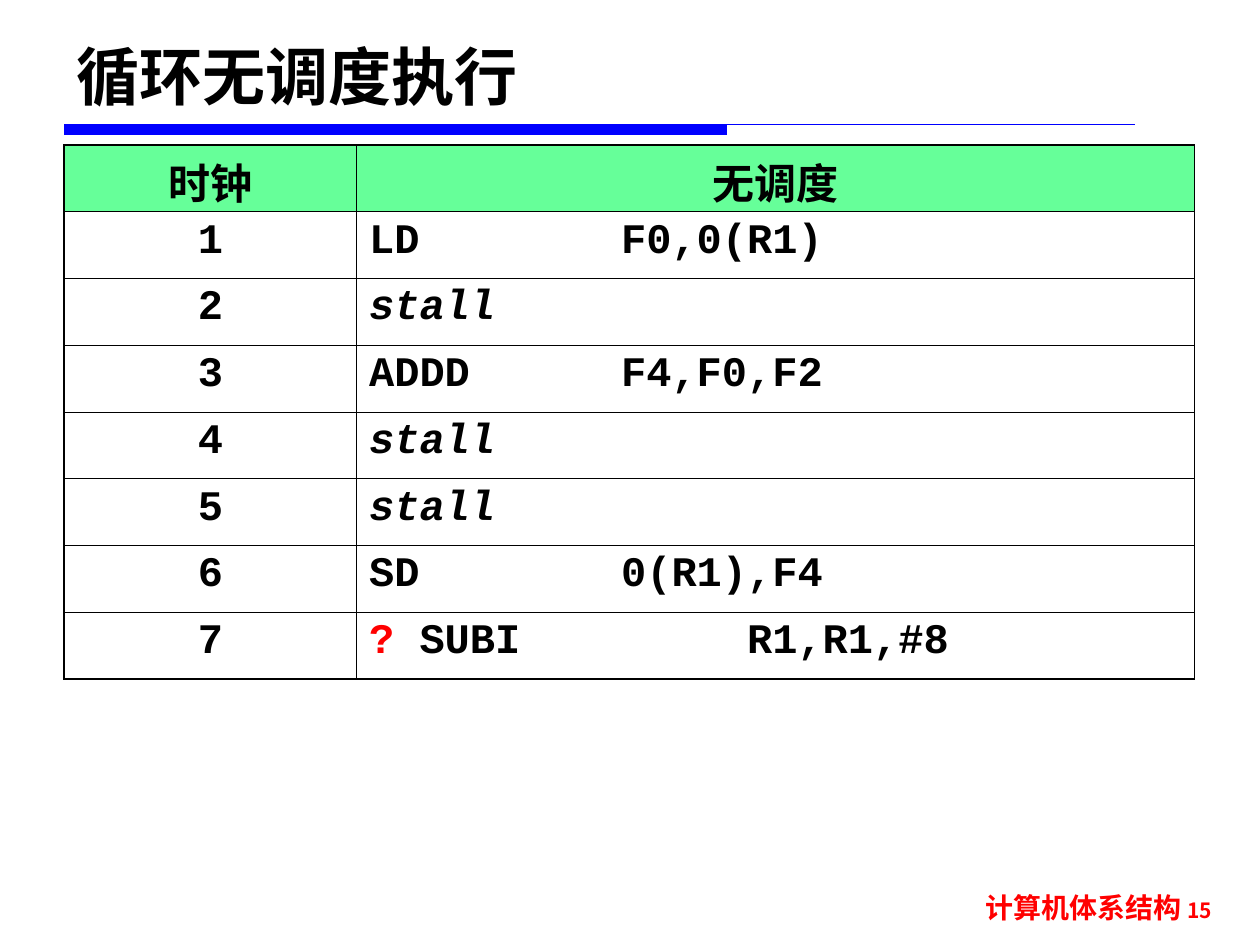
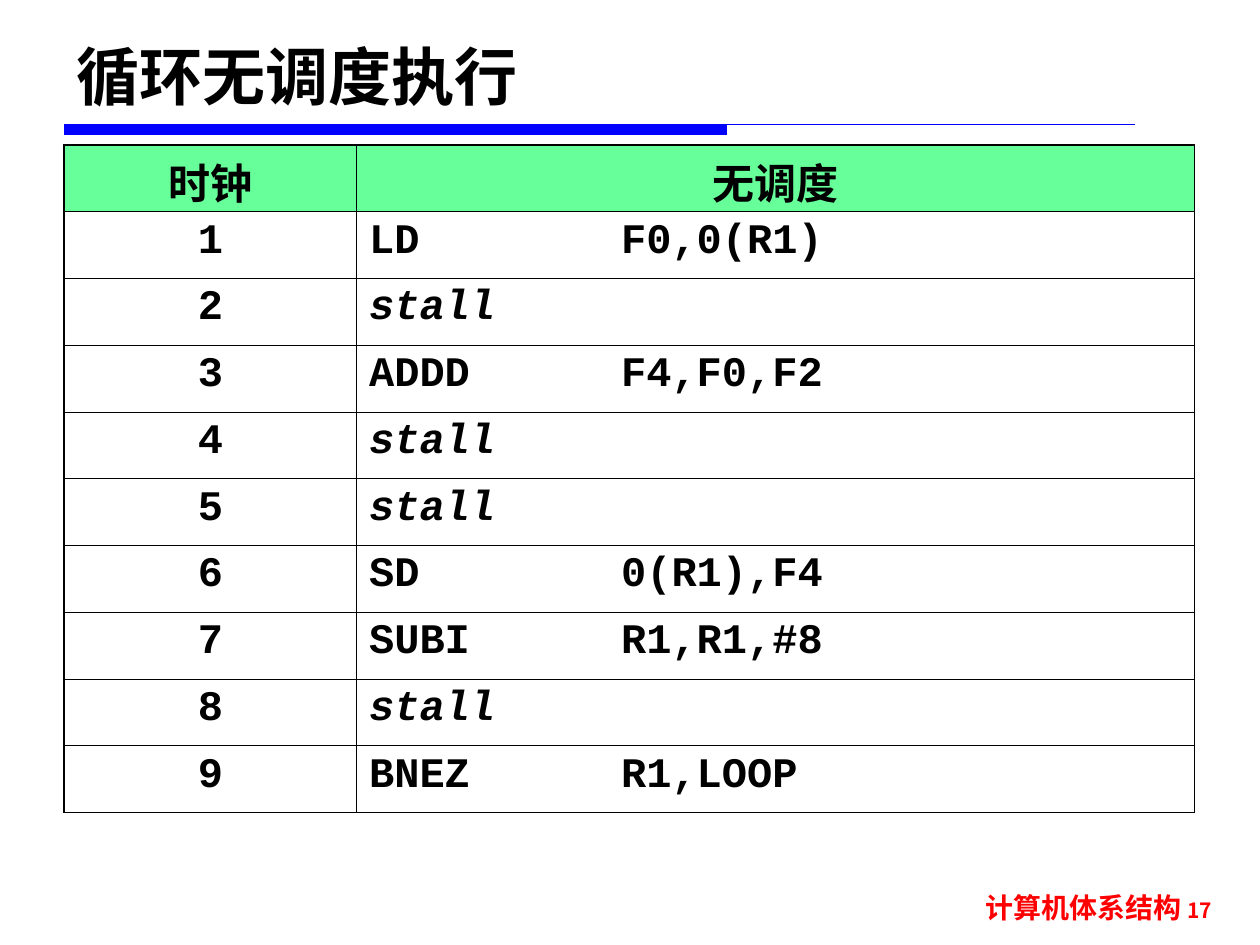
from dataclasses import dataclass

from lxml import etree
from pptx import Presentation
from pptx import util as u
from pptx.dml.color import RGBColor
from pptx.enum import shapes, text
from pptx.oxml import ns

COLORS = {"ink": "000000", "rule": "0000FF", "header": "66FF99", "accent": "FF0000"}
CJK = "Noto Sans CJK SC"
MONO = "Courier New"
LEFT = u.Inches(0.51)
RULE_TOP = u.Inches(0.99)
COLUMN_WIDTHS = (u.Inches(2.32), u.Inches(6.65))
ROW_HEIGHT = u.Inches(0.53)
THIN, THICK = u.Pt(0.45), u.Pt(1.08)


@dataclass(frozen=True)
class Cycle:
    code: str
    mark: str = ""


@dataclass(frozen=True)
class Schedule:
    page: int
    cycles: tuple[Cycle, ...]


STALL = Cycle("stall")
COMMON = (
    Cycle("LD\t\tF0,0(R1)"),
    STALL,
    Cycle("ADDD\t\tF4,F0,F2"),
    STALL,
    STALL,
    Cycle("SD\t\t0(R1),F4"),
)
SUBI = "SUBI\t\tR1,R1,#8"
SCHEDULES = (
    Schedule(15, COMMON + (Cycle(" " + SUBI, mark="?"),)),
    Schedule(17, COMMON + (Cycle(SUBI), STALL, Cycle("BNEZ\t\tR1,LOOP"))),
)


def rgb(color: str) -> RGBColor:
    return RGBColor.from_string(COLORS[color])


def write(paragraph, words: str, *, size: float, font: str = MONO,
          color: str = "ink", italic: bool = False, align=text.PP_ALIGN.LEFT) -> None:
    paragraph.alignment = align
    run = paragraph.add_run()
    run.text = words
    run.font.size = u.Pt(size)
    run.font.name = font
    run.font.bold = True
    run.font.italic = italic
    run.font.color.rgb = rgb(color)
    east_asian = etree.SubElement(run.font._element, ns.qn("a:ea"))
    east_asian.set("typeface", CJK)


def add_tab_stops(paragraph) -> None:
    stops = etree.SubElement(paragraph._p.get_or_add_pPr(), ns.qn("a:tabLst"))
    for inch in range(1, 8):
        etree.SubElement(stops, ns.qn("a:tab"), pos=str(u.Inches(inch)), algn="l")


def add_title(slide, words: str) -> None:
    title = slide.shapes.title
    title.left, title.top = LEFT, u.Inches(0.21)
    title.width, title.height = u.Inches(8.66), u.Inches(0.74)
    frame = title.text_frame
    frame.auto_size = text.MSO_AUTO_SIZE.NONE
    frame.vertical_anchor = text.MSO_ANCHOR.BOTTOM
    write(frame.paragraphs[0], words, size=36, font="DejaVu Sans")


def add_rule(slide) -> None:
    bar = slide.shapes.add_shape(
        shapes.MSO_SHAPE.RECTANGLE, LEFT, RULE_TOP, u.Inches(5.26), u.Inches(0.08))
    bar.shadow.inherit = False
    bar.fill.solid()
    bar.fill.fore_color.rgb = rgb("rule")
    bar.line.fill.background()
    hairline = slide.shapes.add_connector(
        shapes.MSO_CONNECTOR.STRAIGHT, LEFT, RULE_TOP, LEFT + u.Inches(8.5), RULE_TOP)
    hairline.line.color.rgb = rgb("rule")
    hairline.line.width = u.Pt(0.75)
    etree.SubElement(hairline._element.spPr, ns.qn("a:effectLst"))


def add_footer(slide, page: int) -> None:
    footer = slide.shapes.add_textbox(
        u.Inches(7.27), u.Inches(7.02), u.Inches(2.45), u.Inches(0.43))
    footer.text_frame.word_wrap = True
    line = footer.text_frame.paragraphs[0]
    for words, size in (("计算机体系结构 ", 16), (str(page), 12)):
        write(line, words, size=size, font=CJK, color="accent", align=text.PP_ALIGN.RIGHT)


def add_borders(cell, **widths: int) -> None:
    properties = cell._tc.get_or_add_tcPr()
    for side in "LRTB":
        edge = etree.SubElement(properties, ns.qn(f"a:ln{side}"), w=str(widths[side]))
        fill = etree.SubElement(edge, ns.qn("a:solidFill"))
        etree.SubElement(fill, ns.qn("a:srgbClr"), val=COLORS["ink"])


def add_schedule(slide, cycles: tuple[Cycle, ...]) -> None:
    last = len(cycles)
    table = slide.shapes.add_table(
        last + 1, 2, LEFT, u.Inches(1.15), sum(COLUMN_WIDTHS), ROW_HEIGHT * (last + 1)).table
    table.first_row = table.horz_banding = False
    for column, width in zip(table.columns, COLUMN_WIDTHS):
        column.width = width
    for row_index, row in enumerate(table.rows):
        row.height = ROW_HEIGHT
        for column_index, cell in enumerate(row.cells):
            add_borders(cell, L=THIN if column_index else THICK,
                        R=THICK if column_index else THIN,
                        T=THIN if row_index else THICK,
                        B=THICK if row_index == last else THIN)
            if row_index:
                cell.fill.background()
            else:
                cell.fill.solid()
                cell.fill.fore_color.rgb = rgb("header")
        clock, instruction = (cell.text_frame.paragraphs[0] for cell in row.cells)
        centre = text.PP_ALIGN.CENTER
        if not row_index:
            write(clock, "时钟", size=24, align=centre)
            write(instruction, "无调度", size=24, align=centre)
            continue
        cycle = cycles[row_index - 1]
        write(clock, str(row_index), size=24, align=centre)
        add_tab_stops(instruction)
        if cycle.mark:
            write(instruction, cycle.mark, size=24, color="accent")
        write(instruction, cycle.code, size=24, italic=cycle is STALL)


def main() -> None:
    deck = Presentation()
    deck.slide_width, deck.slide_height = u.Inches(10), u.Inches(7.5)
    for schedule in SCHEDULES:
        slide = deck.slides.add_slide(deck.slide_layouts[5])
        add_rule(slide)
        add_footer(slide, schedule.page)
        add_title(slide, "循环无调度执行")
        add_schedule(slide, schedule.cycles)
    deck.save("out.pptx")


if __name__ == "__main__":
    main()
